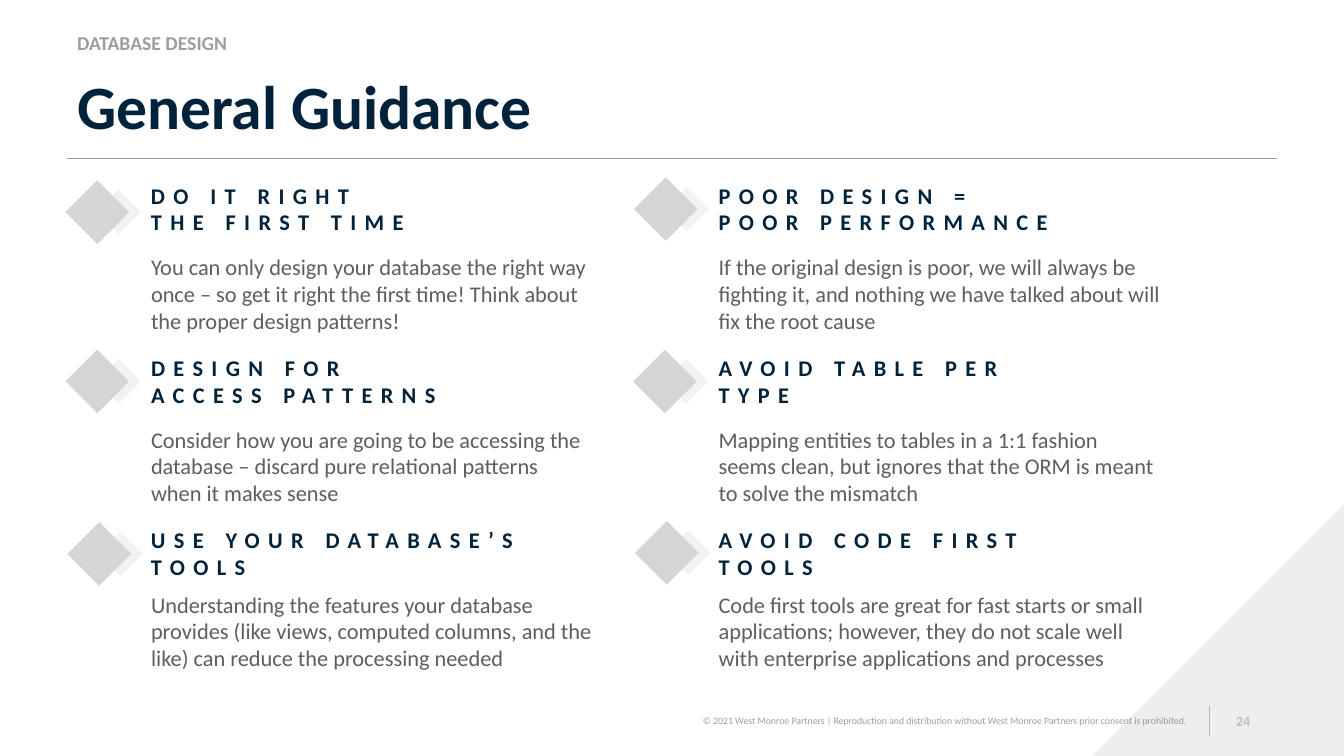
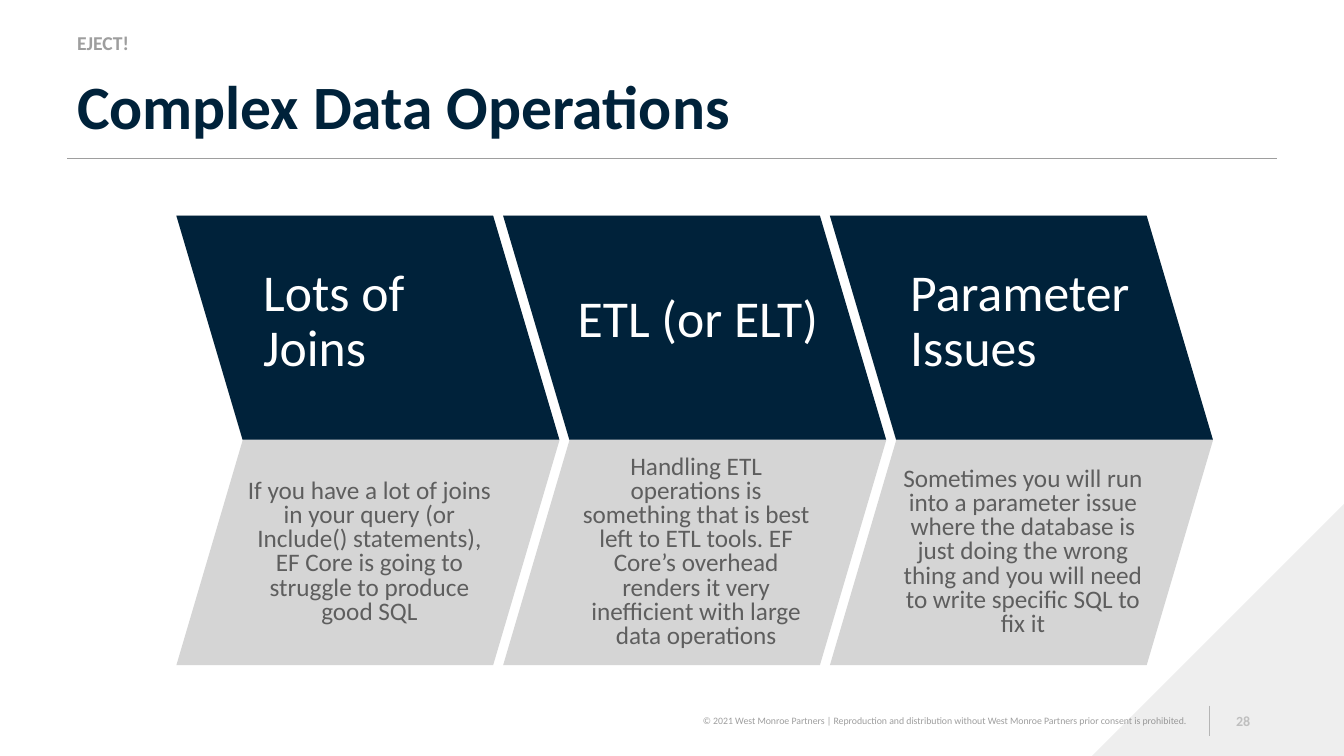
from lxml import etree
from pptx import Presentation
from pptx.dml.color import RGBColor
from pptx.enum.shapes import MSO_CONNECTOR, MSO_SHAPE
from pptx.enum.text import MSO_ANCHOR, PP_ALIGN
from pptx.oxml.ns import qn
from pptx.util import Pt

STRAIGHT = MSO_CONNECTOR.STRAIGHT
DIAMOND, CHEVRON, TRIANGLE = MSO_SHAPE.DIAMOND, MSO_SHAPE.CHEVRON, MSO_SHAPE.RIGHT_TRIANGLE
TOP, MIDDLE, BOTTOM = MSO_ANCHOR.TOP, MSO_ANCHOR.MIDDLE, MSO_ANCHOR.BOTTOM
LEFT, CENTER, RIGHT = PP_ALIGN.LEFT, PP_ALIGN.CENTER, PP_ALIGN.RIGHT

FONT = "Calibri"
NAVY = RGBColor(0x00, 0x22, 0x3A)
TEXT_GRAY = RGBColor(0x5E, 0x5E, 0x5E)
MID_GRAY = RGBColor(0x9E, 0x9E, 0x9E)
SOFT_GRAY = RGBColor(0xBF, 0xBF, 0xBF)
LIGHT_GRAY = RGBColor(0xD5, 0xD5, 0xD5)
PALE_GRAY = RGBColor(0xF2, 0xF2, 0xF2)
WHITE = RGBColor(0xFF, 0xFF, 0xFF)

COPYRIGHT = (
    "© 2021 West Monroe Partners | Reproduction and distribution "
    "without West Monroe Partners prior consent is prohibited."
)


def add_text(slide, text, box, size, color, bold=False, align=LEFT, anchor=MIDDLE,
             insets=(7.2, 3.6, 7.2, 3.6), line_spacing=None, tracking=0):
    text_box = slide.shapes.add_textbox(*[Pt(length) for length in box])
    frame = text_box.text_frame
    frame.word_wrap = True
    frame.vertical_anchor = anchor
    frame.margin_left, frame.margin_top, frame.margin_right, frame.margin_bottom = [
        Pt(inset) for inset in insets
    ]
    paragraph = frame.paragraphs[0]
    paragraph.alignment = align
    if line_spacing:
        paragraph.line_spacing = line_spacing
    run = paragraph.add_run()
    run.text = text
    run.font.name = FONT
    run.font.size = Pt(size)
    run.font.bold = bold
    run.font.color.rgb = color
    if tracking:
        run.font._element.set("spc", str(tracking * 100))


def paint(shape, color):
    shape.shadow.inherit = False
    shape.fill.solid()
    shape.fill.fore_color.rgb = color
    shape.line.fill.background()


deck = Presentation()
deck.slide_width, deck.slide_height = Pt(960), Pt(540)

pages = [
    ("DATABASE DESIGN", "General Guidance", "24"),
    ("EJECT!", "Complex Data Operations", "28"),
]
rules = [
    ((864, 504, 864, 525.6), SOFT_GRAY, 0.75),
    ((48, 113, 912, 113), MID_GRAY, 0.5),
]
slides = []
for section, title, number in pages:
    slide = deck.slides.add_slide(deck.slide_layouts[6])
    slides.append(slide)
    add_text(slide, COPYRIGHT, (412.6, 502.6, 441.4, 24.5), 7, MID_GRAY, align=RIGHT,
             insets=(6.5, 2.9, 6.5, 2.9))
    for ends, color, width in rules:
        rule = slide.shapes.add_connector(STRAIGHT, *[Pt(end) for end in ends])
        rule.line.color.rgb = color
        rule.line.width = Pt(width)
        etree.SubElement(rule._element.spPr, qn("a:effectLst"))
    corner = slide.shapes.add_shape(TRIANGLE, Pt(780), Pt(360), Pt(180), Pt(180))
    paint(corner, TEXT_GRAY)
    corner._element.spPr.find(qn("a:xfrm")).set("flipH", "1")
    corner_color = corner._element.spPr.find(qn("a:solidFill"))[0]
    etree.SubElement(corner_color, qn("a:alpha"), val="10000")
    add_text(slide, title, (48, 48, 864, 57.6), 44, NAVY, bold=True, anchor=BOTTOM,
             line_spacing=0.9)
    add_text(slide, section, (48, 17.3, 270, 28.8), 14, MID_GRAY, bold=True, line_spacing=0.9)
    add_text(slide, number, (864, 500.4, 48, 28.8), 10, SOFT_GRAY, bold=True, align=CENTER)

guidance_slide, operations_slide = slides

guidance = [
    ("DO IT RIGHT THE FIRST TIME", 205.9, (46.8, 128.9),
     "You can only design your database the right way once – so get it right the first time! "
     "Think about the proper design patterns!"),
    ("POOR DESIGN = POOR PERFORMANCE", 262.1, (452.9, 126.7),
     "If the original design is poor, we will always be fighting it, and nothing we have "
     "talked about will fix the root cause"),
    ("DESIGN FOR ACCESS PATTERNS", 239, (46.8, 249.8),
     "Consider how you are going to be accessing the database – discard pure relational "
     "patterns when it makes sense"),
    ("AVOID TABLE PER TYPE", 262.1, (452.2, 249.8),
     "Mapping entities to tables in a 1:1 fashion seems clean, but ignores that the ORM is "
     "meant to solve the mismatch"),
    ("USE YOUR DATABASE’S TOOLS", 298.1, (48.2, 373),
     "Understanding the features your database provides (like views, computed columns, and "
     "the like) can reduce the processing needed"),
    ("AVOID CODE FIRST TOOLS", 262.1, (453.6, 372.2),
     "Code first tools are great for fast starts or small applications; however, they do not "
     "scale well with enterprise applications and processes"),
]
advice_gaps = [37, 37, 31.7]
for index, (heading, heading_width, (marker_x, marker_y), advice) in enumerate(guidance):
    row, column = divmod(index, 2)
    text_left = 100.8 + column * 405.4
    heading_top = 138.2 + row * 123.1
    for offset_x, offset_y, side, color in [(22, 6.8, 31.7, PALE_GRAY), (0, 0, 45.4, LIGHT_GRAY)]:
        marker = guidance_slide.shapes.add_shape(
            DIAMOND, Pt(marker_x + offset_x), Pt(marker_y + offset_y), Pt(side), Pt(side))
        paint(marker, color)
    add_text(guidance_slide, heading, (text_left, heading_top, heading_width, 21.6), 16, NAVY,
             bold=True, tracking=6)
    add_text(guidance_slide, advice, (text_left, heading_top + advice_gaps[row], 329.8, 93.6),
             16, TEXT_GRAY, anchor=TOP, insets=(7.2, 5.8, 7.2, 5.8))

operations = [
    ("Lots of Joins", (182.2, 230.4),
     "If you have a lot of joins in your query (or Include() statements), EF Core is going to "
     "struggle to produce good SQL"),
    ("ETL (or ELT)", (406.8, 209.5),
     "Handling ETL operations is something that is best left to ETL tools. EF Core’s overhead "
     "renders it very inefficient with large data operations"),
    ("Parameter Issues", (644.4, 230.4),
     "Sometimes you will run into a parameter issue where the database is just doing the "
     "wrong thing and you will need to write specific SQL to fix it"),
]
BAND_TOP, BAND_WIDTH, BAND_HEIGHT, HALF_HEIGHT = 154.1, 273.6, 321.1, 160
POINT_RATIO = 0.173
POINT = BAND_WIDTH * POINT_RATIO
MIDLINE = BAND_TOP + HALF_HEIGHT
CELL_INSETS = (5.8, 2.2, 2.2, 2.2)
for index, (operation, (label_left, label_top), reason) in enumerate(operations):
    left = 126 + index * 233.4
    right = left + BAND_WIDTH
    band = operations_slide.shapes.add_shape(
        CHEVRON, Pt(left), Pt(BAND_TOP), Pt(BAND_WIDTH), Pt(BAND_HEIGHT))
    band.adjustments[0] = POINT_RATIO
    paint(band, LIGHT_GRAY)
    outline = operations_slide.shapes.build_freeform(Pt(left), Pt(BAND_TOP))
    corners = [(right - POINT, BAND_TOP), (right, MIDLINE), (left + POINT, MIDLINE)]
    outline.add_line_segments([(Pt(x), Pt(y)) for x, y in corners])
    paint(outline.convert_to_shape(), NAVY)
    add_text(operations_slide, operation, (label_left, label_top, 182.2, 41.8), 36.9, WHITE,
             anchor=BOTTOM, insets=CELL_INSETS, line_spacing=0.9)
    add_text(operations_slide, reason, (left + 45, MIDLINE, 182.2, BAND_HEIGHT - HALF_HEIGHT),
             18, TEXT_GRAY, align=CENTER, insets=CELL_INSETS, line_spacing=0.8)

deck.save("out.pptx")
